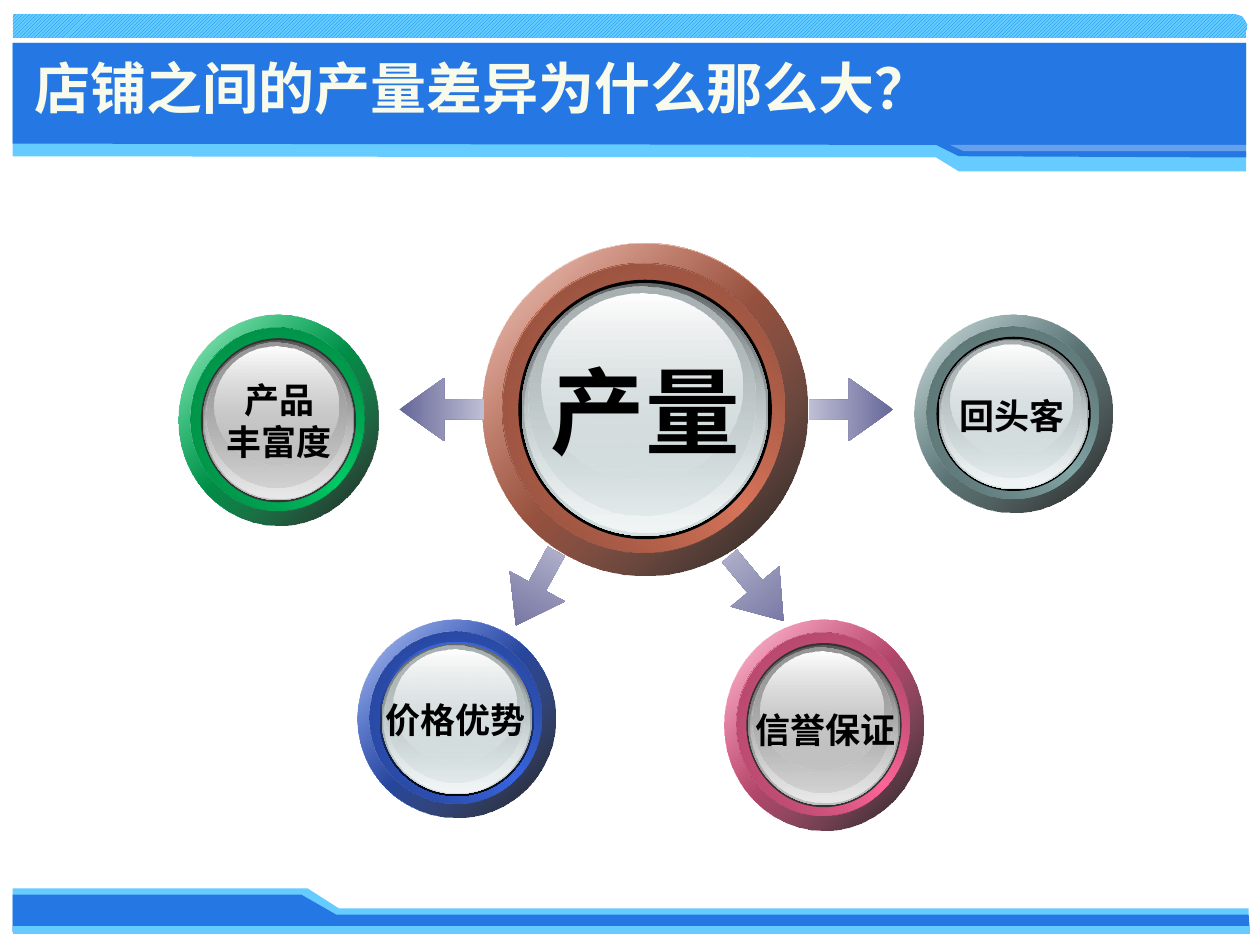
"""Build a slide with one hub button and four linked factor buttons."""
from dataclasses import dataclass
from lxml.etree import SubElement
from pptx import Presentation
from pptx.dml.color import RGBColor as RGB
from pptx.enum.dml import MSO_PATTERN as Pattern
from pptx.enum.shapes import MSO_SHAPE as Shape
from pptx.enum.text import MSO_ANCHOR as Anchor, PP_ALIGN as Align
from pptx.oxml import parse_xml
from pptx.oxml.ns import nsdecls, qn
from pptx.util import Pt


@dataclass(frozen=True)
class Theme:
    """Colours, fonts and type sizes."""
    blue: str = "2577E3"
    sky: str = "66CCFF"
    hatch: str = "0284F0"
    white: str = "FFFFFF"
    black: str = "000000"
    cream: str = "F8FAEB"
    coal: str = "333333"
    arrow: tuple = ("666699", "BEBED4")
    mist: tuple = ("D6E1E2", "636869", "F1F5F5", "AAB2B3")
    silver: tuple = ("C0C0C0", "595959", "E9E9E9", "989898")
    copper: str = "D8755A"
    teal: str = "83A6A7"
    pink: str = "FF6699"
    green: str = "00CC66"
    royal: str = "3965E1"
    night: str = "03060D"
    cjk: str = "Noto Sans CJK SC"
    latin: str = "Arial"
    head: int = 32
    hub: int = 54
    label: int = 20


def paint(shape, stops, angle=0):
    """Fill with one colour, or with evenly spaced (colour, opacity) stops."""
    shape.shadow.inherit = False
    shape.line.fill.background()
    tag = "gradFill" if len(stops) > 1 else "solidFill"
    fill = parse_xml(f"<a:{tag} {nsdecls('a')}/>")
    home = SubElement(fill, qn("a:gsLst")) if len(stops) > 1 else fill
    for i, (tone, alpha) in enumerate(stops):
        spot = home
        if len(stops) > 1:
            fill.set("rotWithShape", "1")
            place = 100000 * i // (len(stops) - 1)
            spot = SubElement(home, qn("a:gs"), pos=str(place))
        color = SubElement(spot, qn("a:srgbClr"), val=tone)
        if alpha < 100:
            SubElement(color, qn("a:alpha"), val=str(alpha * 1000))
    if len(stops) > 1:
        SubElement(fill, qn("a:lin"), ang=str(angle * 60000), scaled="0")
    shape._element.spPr.insert(2, fill)


def write(frame, text, size, tone, face, align):
    """Write bold lines of text into a frame."""
    frame.text = text
    frame.vertical_anchor = Anchor.MIDDLE
    for para in frame.paragraphs:
        para.alignment = align
        font = para.font
        font.size, font.bold, font.name = Pt(size), True, face
        font.color.rgb = RGB.from_string(tone)
        SubElement(font._rPr, qn("a:ea"), typeface=theme.cjk)


theme = Theme()
deck = Presentation()
deck.slide_width, deck.slide_height = Pt(720), Pt(540)
unit = deck.slide_width // 10
slide = deck.slides.add_slide(deck.slide_layouts[5])
shapes = slide.shapes

bars = [
    (theme.sky, 100, [(0.1, 7.39), (9.91, 7.39), (9.91, 7.21), (2.69, 7.21),
                      (2.44, 7.05), (0.1, 7.05)]),
    (theme.blue, 100, [(0.1, 7.4), (9.92, 7.39), (9.91, 7.26), (2.67, 7.26),
                       (2.39, 7.1), (0.1, 7.1)]),
    (None, 100, [(0.1, 0.11), (9.8, 0.11), (9.86, 0.13), (9.9, 0.19),
                 (9.89, 0.3), (0.1, 0.3)]),
    (theme.sky, 100, [(9.89, 0.34), (0.1, 0.34), (0.1, 1.24), (7.43, 1.25),
                      (7.61, 1.36), (9.89, 1.36)]),
    (theme.blue, 100, [(9.89, 0.34), (0.1, 0.34), (0.1, 1.14), (7.43, 1.15),
                       (7.61, 1.24), (9.89, 1.25)]),
    (theme.sky, 100, [(0.1, 7.35), (9.92, 7.35), (9.92, 7.41), (0.1, 7.41)]),
    (theme.white, 30, [(7.54, 1.15), (9.9, 1.15), (9.9, 1.2), (7.65, 1.2)]),
]
for tone, alpha, dots in bars:
    start, *rest = [(x * unit, y * unit) for x, y in dots]
    path = shapes.build_freeform(*start, scale=1.0)
    path.add_line_segments(rest, close=True)
    bar = path.convert_to_shape()
    if tone:
        paint(bar, [(tone, alpha)])
    else:
        bar.shadow.inherit = False
        bar.line.fill.background()
        bar.fill.patterned()
        bar.fill.pattern = Pattern.LIGHT_UPWARD_DIAGONAL
        bar.fill.fore_color.rgb = RGB.from_string(theme.hatch)
        bar.fill.back_color.rgb = RGB.from_string(theme.sky)

title = shapes.title
shapes._spTree.append(title._element)
title.left, title.top, title.width, title.height = [
    int(n * unit) for n in (0.17, 0.17, 7.42, 0.95)]
title.text_frame.margin_top = int(0.15 * unit)
title.text_frame.margin_bottom = int(0.05 * unit)
write(title.text_frame, "店铺之间的产量差异为什么那么大？", theme.head,
      theme.cream, theme.cjk, Align.LEFT)

dark, coal = [(theme.black, 100)], [(theme.coal, 100)]
deep = [(theme.royal, 100), (theme.night, 100)]
buttons = [
    ("产量", theme.hub, (3.83, 1.93, 2.58, 2.64), theme.copper, theme.mist,
     dark, (4.26, 2.75, 1.72, 1.01)),
    ("回头客", theme.label, (7.26, 2.5, 1.57, 1.57), theme.teal, theme.mist,
     dark, (7.51, 3.08, 1.05, 0.44)),
    ("信誉保证", theme.label, (5.75, 4.92, 1.58, 1.67), theme.pink,
     theme.silver, coal, (5.89, 5.57, 1.33, 0.44)),
    ("产品\n丰富度", theme.label, (1.42, 2.5, 1.58, 1.67), theme.green,
     theme.silver, coal, (1.69, 2.95, 1.05, 0.77)),
    ("价格优势", theme.label, (2.84, 4.92, 1.57, 1.57), theme.royal,
     theme.mist, deep, (2.95, 5.49, 1.33, 0.44)),
]
for text, size, (x, y, wide, high), tone, glass, rim, box in buttons:
    base, shade, shine, haze = glass
    low, mid = ["".join(f"{round(n * part):02X}" for n in RGB.from_string(tone))
                for part in (0.54, 0.63)]
    white = (theme.white, 100)
    layers = [
        (0, 0, 1, 1, [white, (tone, 100), white], 45),
        (0, 0, 1, 1, [(tone, 32), (theme.black, 90)], 45),
        (0.06, 0.06, 0.87, 0.87, [(low, 100), (tone, 100), (low, 100)], 315),
        (0.06, 0.06, 0.87, 0.87, [(mid, 100), (tone, 0)], 45),
        (0.11, 0.11, 0.78, 0.78, rim, 90),
        (0.12, 0.12, 0.76, 0.76, [(shade, 100), (base, 100)], 90),
        (0.13, 0.13, 0.74, 0.74, [(base, 0), (shine, 100)], 90),
        (0.14, 0.13, 0.7, 0.69, [(haze, 100), (base, 48)], 90),
        (0.18, 0.15, 0.62, 0.56, [white, (base, 38)], 90),
    ]
    group = shapes.add_group_shape()
    for dx, dy, w, h, stops, angle in layers:
        spot = (x + dx * wide, y + dy * high, w * wide, h * high)
        disc = group.shapes.add_shape(Shape.OVAL, *[int(n * unit) for n in spot])
        paint(disc, stops, angle)
    label = shapes.add_textbox(*[int(n * unit) for n in box])
    label.text_frame.word_wrap = False
    write(label.text_frame, text, size, theme.black, theme.latin, Align.CENTER)

group = shapes.add_group_shape()
for x, y, turn in [(6.42, 3, 180), (3.92, 4.42, 298.6),
                   (3.17, 3, 0), (5.67, 4.42, 230.3)]:
    arrow = group.shapes.add_shape(
        Shape.LEFT_ARROW, *[int(n * unit) for n in (x, y, 0.67, 0.5)])
    arrow.rotation = turn
    arrow.adjustments[0], arrow.adjustments[1] = 0.31, 0.71
    paint(arrow, [(tone, 100) for tone in theme.arrow])

deck.save("out.pptx")
